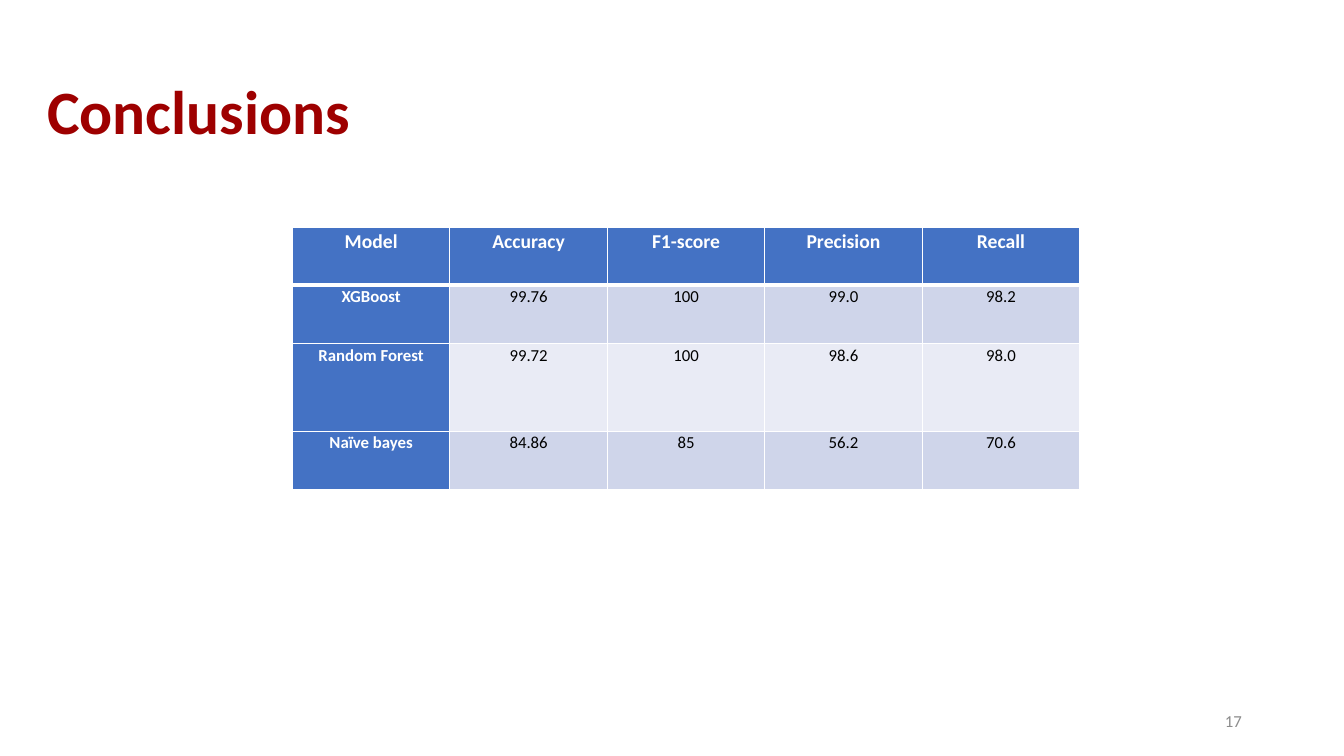
import pptx
import pptx.util
import pptx.dml.color
import pptx.enum.text
import pptx.oxml
import pptx.oxml.ns
from lxml import etree

Cm = pptx.util.Cm
Pt = pptx.util.Pt
ALIGN = pptx.enum.text.PP_ALIGN
MIDDLE = pptx.enum.text.MSO_ANCHOR.MIDDLE

COLORS = {
    "title": "9E0000",
    "number": "8C8C8C",
    "header": "4472C4",
    "band_dark": "CFD5EA",
    "band_light": "E9EBF5",
    "white": "FFFFFF",
    "black": "000000",
}

SCORES = [
    ["Model", "Accuracy", "F1-score", "Precision", "Recall"],
    ["XGBoost", "99.76", "100", "99.0", "98.2"],
    ["Random Forest", "99.72", "100", "98.6", "98.0"],
    ["Naïve bayes", "84.86", "85", "56.2", "70.6"],
]
ROW_HEIGHTS = [1.45, 1.47, 2.21, 1.47]


def rgb(name):
    return pptx.dml.color.RGBColor.from_string(COLORS[name])


def write(frame, text, size, color, bold=False, align=ALIGN.LEFT, spacing=1.0, after=0):
    paragraph = frame.paragraphs[0]
    paragraph.alignment = align
    paragraph.line_spacing = spacing
    paragraph.space_after = Pt(after)
    run = paragraph.add_run()
    run.text = text
    run.font.name = "Calibri"
    run.font.size = Pt(size)
    run.font.bold = bold
    run.font.color.rgb = rgb(color)


def add_label(slide, box, text, **style):
    frame = slide.shapes.add_textbox(*[Cm(length) for length in box]).text_frame
    frame.word_wrap = True
    frame.vertical_anchor = MIDDLE
    write(frame, text, **style)


def set_borders(cell, **widths):
    properties = cell._tc.get_or_add_tcPr()
    for side in "LRTB":
        line = etree.SubElement(properties, pptx.oxml.ns.qn(f"a:ln{side}"),
                                w=str(Pt(widths.get(side, 1))))
        fill = etree.SubElement(line, pptx.oxml.ns.qn("a:solidFill"))
        etree.SubElement(fill, pptx.oxml.ns.qn("a:srgbClr"), val=COLORS["white"])


def add_scores(slide, box):
    left, top, width, height = box
    table = slide.shapes.add_table(len(SCORES), len(SCORES[0]), Cm(left), Cm(top),
                                   Cm(width), Cm(height)).table
    table.first_col = True
    for column in table.columns:
        column.width = Cm(width / len(SCORES[0]))

    for r, scores in enumerate(SCORES):
        table.rows[r].height = Cm(height * ROW_HEIGHTS[r] / sum(ROW_HEIGHTS))
        for c, score in enumerate(scores):
            cell = table.cell(r, c)
            cell.margin_left = cell.margin_right = Cm(0.18)
            cell.margin_top = cell.margin_bottom = 0

            # Thick rule below the header row
            set_borders(cell, T=3 if r == 1 else 1, B=3 if r == 0 else 1)

            heading = r == 0 or c == 0
            band = "band_dark" if r % 2 else "band_light"
            cell.fill.solid()
            cell.fill.fore_color.rgb = rgb("header" if heading else band)
            write(cell.text_frame, score, size=14 if r == 0 else 12,
                  color="white" if heading else "black", bold=heading,
                  align=ALIGN.CENTER, spacing=1.07, after=8)


def add_conclusions(deck):
    slide = deck.slides.add_slide(deck.slide_layouts[6])
    # Title
    add_label(slide, (0.94, 1.04, 29.21, 3.68), "Conclusions",
              size=44, color="title", bold=True, spacing=0.9)
    # Model scores
    add_scores(slide, (7.37, 5.74, 19.84, sum(ROW_HEIGHTS)))
    # Slide number
    add_label(slide, (23.93, 17.65, 7.62, 1.02), "17",
              size=12, color="number", align=ALIGN.RIGHT)


def main():
    deck = pptx.Presentation()
    deck.slide_width = Cm(33.87)
    deck.slide_height = Cm(19.05)
    add_conclusions(deck)
    deck.save("out.pptx")


if __name__ == "__main__":
    main()
